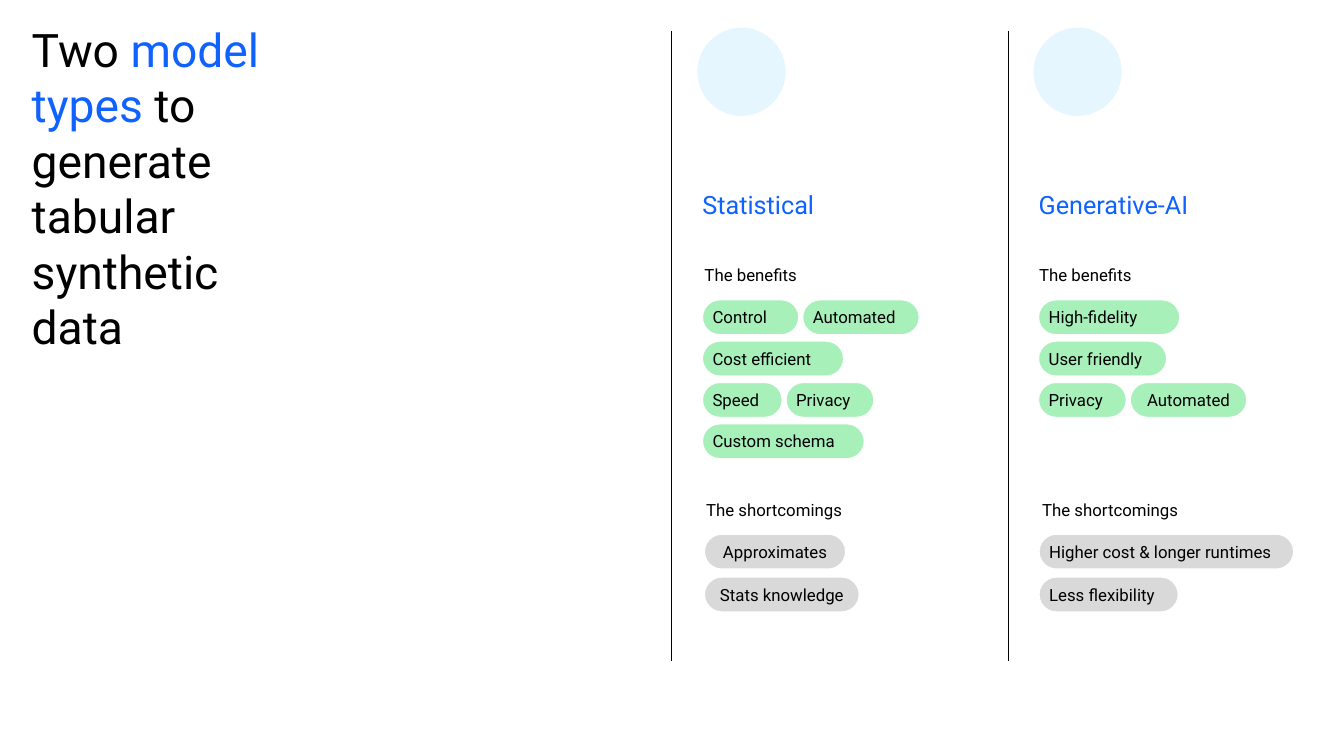
from pptx import Presentation
from pptx import util as u
from pptx.dml.color import RGBColor
from pptx.enum import shapes, text
from pptx.oxml import ns, xmlchemy

BLACK = RGBColor(0x00, 0x00, 0x00)
WHITE = RGBColor(0xFF, 0xFF, 0xFF)
BLUE = RGBColor(0x0F, 0x62, 0xFE)
SKY = RGBColor(0xE5, 0xF6, 0xFF)
GREEN = RGBColor(0xA7, 0xF0, 0xBA)
GREY = RGBColor(0xD9, 0xD9, 0xD9)
LEFT, MID = text.PP_ALIGN.LEFT, text.PP_ALIGN.CENTER
TOP, CENTRE = text.MSO_ANCHOR.TOP, text.MSO_ANCHOR.MIDDLE

PILL_H, GAP = 0.69, 0.08


def inches(*vals):
    return [u.Inches(v) for v in vals]


def write(shape, runs, size=24, align=LEFT, anchor=TOP, inset=0, space=1.0):
    """Fill a shape with one paragraph of (words, colour) runs."""
    frame = shape.text_frame
    frame.word_wrap = True
    frame.auto_size = text.MSO_AUTO_SIZE.NONE
    frame.vertical_anchor = anchor
    frame.margin_left = frame.margin_right = u.Inches(inset)
    frame.margin_top = frame.margin_bottom = u.Inches(inset)
    para = frame.paragraphs[0]
    if shape.is_placeholder:
        props = para._p.get_or_add_pPr()
        props.set("marL", "0")
        props.set("indent", "0")
        props.append(xmlchemy.OxmlElement("a:buNone"))
    para.alignment = align
    para.line_spacing = space
    para.space_before = u.Pt(0)
    for words, colour in runs:
        run = para.add_run()
        run.text = words
        run.font.name = "Roboto"
        run.font.size = u.Pt(size)
        run.font.color.rgb = colour


def place(holder, x, y, w, h):
    holder.left, holder.top, holder.width, holder.height = inches(x, y, w, h)


def form(slide, kind, box, fill, line):
    shape = slide.shapes.add_shape(kind, *inches(*box))
    shape.shadow.inherit = False
    shape.fill.solid()
    shape.fill.fore_color.rgb = fill
    shape.line.color.rgb = line
    shape.line.width = u.Pt(1.5)
    return shape


def rule(slide, x, top, end):
    line = slide.shapes.add_connector(
        shapes.MSO_CONNECTOR.STRAIGHT, *inches(x, top, x, end))
    line.line.color.rgb = BLACK
    line.line.width = u.Pt(1)
    line._element.find(ns.qn("p:spPr")).append(
        xmlchemy.OxmlElement("a:effectLst"))


def label(slide, x, y, words):
    box = slide.shapes.add_textbox(*inches(x, y, 5.41, 0.6))
    write(box, [(words, BLACK)], space=1.1)


def pills(slide, x, y, rows, fill, pitch):
    """Lay out rows of (words, width, align) pills from a top left corner."""
    for i, row in enumerate(rows):
        left = x
        for words, wide, align in row:
            pill = form(slide, shapes.MSO_SHAPE.ROUNDED_RECTANGLE,
                        (left, y + i * pitch, wide, PILL_H), fill, WHITE)
            pill.adjustments[0] = 0.5
            write(pill, [(words, BLACK)], align=align, anchor=CENTRE, inset=0.1)
            left += wide + GAP


def heading(slide, x, y):
    title = slide.shapes.title
    place(title, x, y, 5.41, 1.25)
    write(title, [("Two ", BLACK), ("model types", BLUE),
                  (" to generate tabular synthetic data", BLACK)], size=66)


def column(slide, holder, x, y, name, lead, pros, cons):
    """One model type, to the right of the rule at x."""
    rule(slide, x, y, y + 12.5)
    form(slide, shapes.MSO_SHAPE.OVAL, (x + 0.52, y - 0.06, 1.73, 1.73), SKY, SKY)
    place(holder, x + 0.61, y + 3.13, 5.43, 9.38)
    write(holder, [(name, BLUE)], size=36)
    # Benefits
    label(slide, x + lead, y + 4.59, "The benefits")
    pills(slide, x + 0.61, y + 5.33, pros, GREEN, 0.82)
    # Shortcomings
    label(slide, x + 0.68, y + 9.25, "The shortcomings")
    pills(slide, x + lead, y + 9.98, cons, GREY, 0.85)


STATS = dict(
    name="Statistical", lead=0.65,
    pros=[[("Control", 1.91, LEFT), ("Automated", 2.31, LEFT)],
          [("Cost efficient", 2.8, LEFT)],
          [("Speed", 1.58, LEFT), ("Privacy", 1.74, LEFT)],
          [("Custom schema", 3.21, LEFT)]],
    cons=[[("Approximates", 2.8, MID)], [("Stats knowledge", 3.07, MID)]])
GEN = dict(
    name="Generative-AI", lead=0.62,
    pros=[[("High-fidelity", 2.8, LEFT)],
          [("User friendly", 2.54, LEFT)],
          [("Privacy", 1.74, LEFT), ("Automated", 2.31, MID)]],
    cons=[[("Higher cost & longer runtimes", 5.05, LEFT)],
          [("Less flexibility", 2.76, LEFT)]])


def main():
    deck = Presentation()
    deck.slide_width, deck.slide_height = inches(26.67, 15)
    slide = deck.slides.add_slide(deck.slide_layouts[3])
    slide.background.fill.solid()
    slide.background.fill.fore_color.rgb = WHITE
    heading(slide, 0.63, 0.42)
    column(slide, slide.placeholders[1], 13.33, 0.62, **STATS)
    column(slide, slide.placeholders[2], 20, 0.62, **GEN)
    deck.save("out.pptx")


if __name__ == "__main__":
    main()
